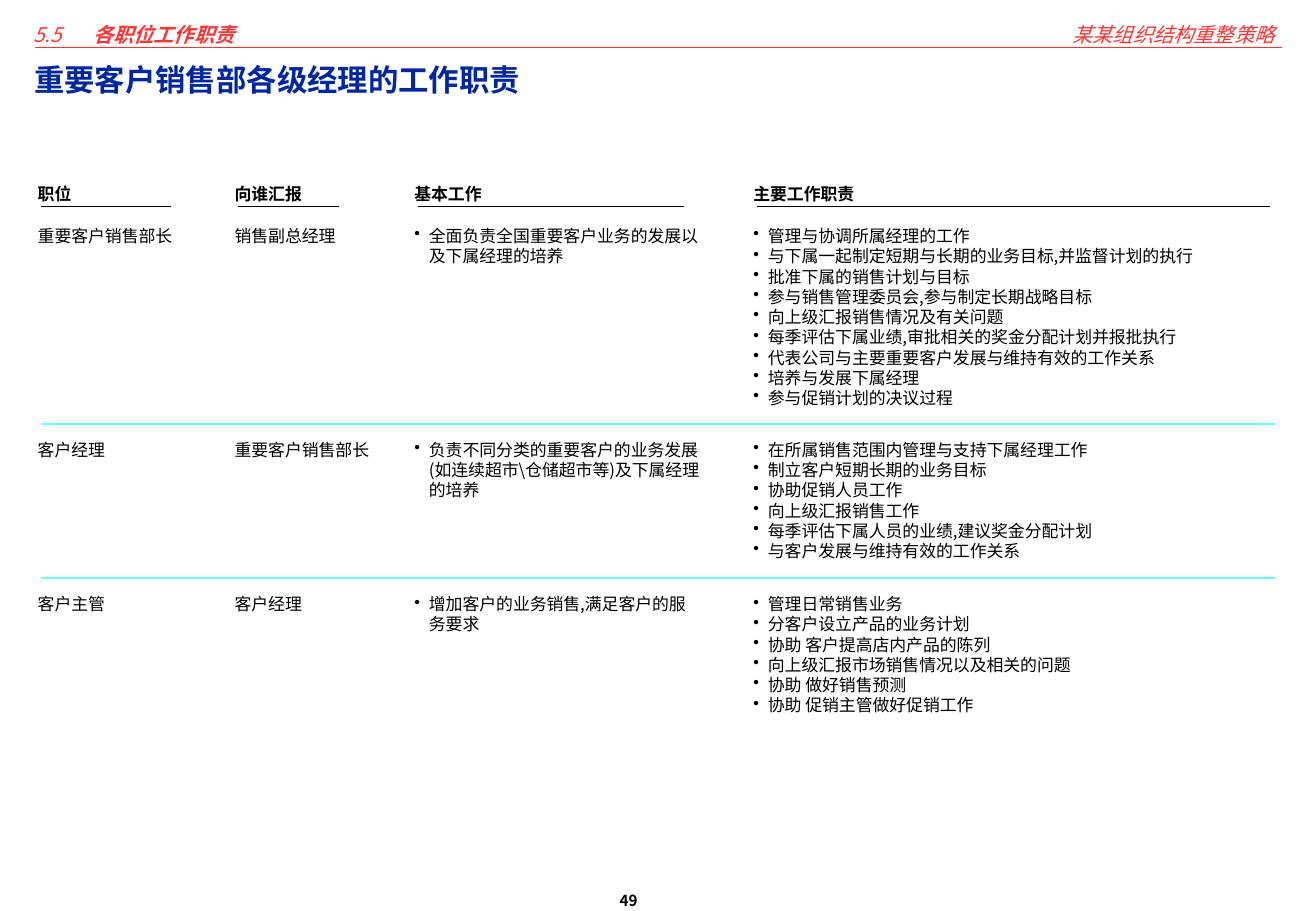
from lxml import etree
from pptx import Presentation
from pptx.dml.color import RGBColor
from pptx.enum.shapes import MSO_CONNECTOR
from pptx.enum.text import MSO_ANCHOR, MSO_AUTO_SIZE, PP_ALIGN
from pptx.oxml.ns import qn
from pptx.util import Inches, Pt

STRAIGHT = MSO_CONNECTOR.STRAIGHT
TOP = MSO_ANCHOR.TOP
NO_AUTO_SIZE = MSO_AUTO_SIZE.NONE
LEFT = PP_ALIGN.LEFT
RIGHT = PP_ALIGN.RIGHT

FONT = "Noto Sans CJK SC"
BLACK = RGBColor(0x00, 0x00, 0x00)
RED = RGBColor(0xFF, 0x34, 0x34)
NAVY = RGBColor(0x00, 0x27, 0x9F)
CYAN = RGBColor(0x66, 0xFF, 0xFF)

BODY_SIZE = 10
LINE_FACTOR = 1.2
HEADING_TOP = 1.46
HEADING_RULE = 1.7
SEPARATOR_GAP = 0.08
RULE_INDENT = 0.12
BULLET_INDENT = 0.12

COLUMNS = [
    ("职位", 0.22, 1.51, 1.41),
    ("向谁汇报", 1.84, 1.39, 2.79),
    ("基本工作", 3.32, 2.53, 5.63),
    ("主要工作职责", 6.11, 4.6, 10.45),
]
BULLETED_FROM = 2

POSITIONS = [
    (1.81, 1.59, [
        ["重要客户销售部长"],
        ["销售副总经理"],
        ["全面负责全国重要客户业务的发展以及下属经理的培养"],
        [
            "管理与协调所属经理的工作",
            "与下属一起制定短期与长期的业务目标,并监督计划的执行",
            "批准下属的销售计划与目标",
            "参与销售管理委员会,参与制定长期战略目标",
            "向上级汇报销售情况及有关问题",
            "每季评估下属业绩,审批相关的奖金分配计划并报批执行",
            "代表公司与主要重要客户发展与维持有效的工作关系",
            "培养与发展下属经理",
            "参与促销计划的决议过程",
        ],
    ]),
    (3.57, 1.09, [
        ["客户经理"],
        ["重要客户销售部长"],
        ["负责不同分类的重要客户的业务发展(如连续超市\\仓储超市等)及下属经理的培养"],
        [
            "在所属销售范围内管理与支持下属经理工作",
            "制立客户短期长期的业务目标",
            "协助促销人员工作",
            "向上级汇报销售工作",
            "每季评估下属人员的业绩,建议奖金分配计划",
            "与客户发展与维持有效的工作关系",
        ],
    ]),
    (4.84, 1.09, [
        ["客户主管"],
        ["客户经理"],
        ["增加客户的业务销售,满足客户的服务要求"],
        [
            "管理日常销售业务",
            "分客户设立产品的业务计划",
            "协助 客户提高店内产品的陈列",
            "向上级汇报市场销售情况以及相关的问题",
            "协助 做好销售预测",
            "协助 促销主管做好促销工作",
        ],
    ]),
]


def format_run(run, size, color, bold=False, italic=False):
    run.font.size = Pt(size)
    run.font.bold = bold
    run.font.italic = italic
    run.font.color.rgb = color
    run.font.name = FONT
    latin = run.font._element.find(qn("a:latin"))
    east_asian = etree.Element(qn("a:ea"), typeface=FONT)
    latin.addnext(east_asian)


def add_bullet(paragraph):
    properties = paragraph._p.get_or_add_pPr()
    properties.set("marL", str(Inches(BULLET_INDENT)))
    properties.set("indent", str(-Inches(BULLET_INDENT)))
    etree.SubElement(properties, qn("a:buChar"), char="•")


def add_tab_stop(paragraph, position):
    tabs = etree.SubElement(paragraph._p.get_or_add_pPr(), qn("a:tabLst"))
    etree.SubElement(tabs, qn("a:tab"), pos=str(Inches(position)), algn="l")


def fill_text(shape, lines, size, color, margins, bold=False, italic=False,
              bulleted=False, align=LEFT, wrap=True):
    frame = shape.text_frame
    frame.text = "\n".join(lines)
    frame.word_wrap = wrap
    frame.auto_size = NO_AUTO_SIZE
    frame.vertical_anchor = TOP
    frame.margin_left = frame.margin_right = Inches(margins[0])
    frame.margin_top = frame.margin_bottom = Inches(margins[1])
    for paragraph in frame.paragraphs:
        if bulleted:
            add_bullet(paragraph)
        paragraph.alignment = align
        paragraph.line_spacing = Pt(size * LINE_FACTOR)
        paragraph.space_before = Pt(0)
        for run in paragraph.runs:
            format_run(run, size, color, bold, italic)


def add_text(slide, box, lines, size, color, margins, **options):
    shape = slide.shapes.add_textbox(*map(Inches, box))
    fill_text(shape, lines, size, color, margins, **options)
    return shape


def add_body_text(slide, box, lines, **options):
    return add_text(slide, box, lines, BODY_SIZE, BLACK, (0.09, 0.05), **options)


def add_rule(slide, left, right, top, color):
    line = slide.shapes.add_connector(
        STRAIGHT, Inches(left), Inches(top), Inches(right), Inches(top))
    line.line.color.rgb = color
    line.line.width = Pt(1)
    etree.SubElement(line._element.spPr, qn("a:effectLst"))


def add_title(slide):
    title = slide.shapes.title
    title.left, title.top = Inches(0.18), Inches(0.4)
    title.width, title.height = Inches(9.88), Inches(0.87)
    fill_text(title, ["重要客户销售部各级经理的工作职责"], 18, NAVY, (0.1, 0.1), bold=True)


def add_page_header(slide):
    add_rule(slide, 0.29, 10.55, 0.39, RED)
    add_text(slide, (7.55, 0.08, 3.04, 0.4), ["某某组织结构重整策略"], 12, RED,
             (0.1, 0.1), italic=True, align=RIGHT)
    section = add_text(slide, (0.18, 0.08, 3.43, 0.4), ["5.5\t "], 12, RED,
                       (0.1, 0.1), italic=True)
    paragraph = section.text_frame.paragraphs[0]
    add_tab_stop(paragraph, 0.45)
    section_name = paragraph.add_run()
    section_name.text = "各职位工作职责"
    format_run(section_name, 12, RED, bold=True, italic=True)


def add_headings(slide):
    for heading, left, width, rule_end in COLUMNS:
        add_body_text(slide, (left, HEADING_TOP, width, 0.26), [heading], bold=True)
        add_rule(slide, left + RULE_INDENT, rule_end, HEADING_RULE, BLACK)


def add_positions(slide):
    for row, (top, height, cells) in enumerate(POSITIONS):
        if row:
            add_rule(slide, 0.34, 10.49, top - SEPARATOR_GAP, CYAN)
        for index, lines in enumerate(cells):
            heading, left, width, rule_end = COLUMNS[index]
            add_body_text(slide, (left, top, width, height), lines,
                          bulleted=index >= BULLETED_FROM)


def main():
    presentation = Presentation()
    presentation.slide_width = Inches(10.83)
    presentation.slide_height = Inches(7.5)
    slide = presentation.slides.add_slide(presentation.slide_layouts[5])
    add_title(slide)
    add_page_header(slide)
    add_headings(slide)
    add_positions(slide)
    add_text(slide, (5.1, 7.34, 0.65, 0.17), ["49"], 9, BLACK, (0, 0),
             bold=True, wrap=False)
    presentation.save("out.pptx")


if __name__ == "__main__":
    main()
